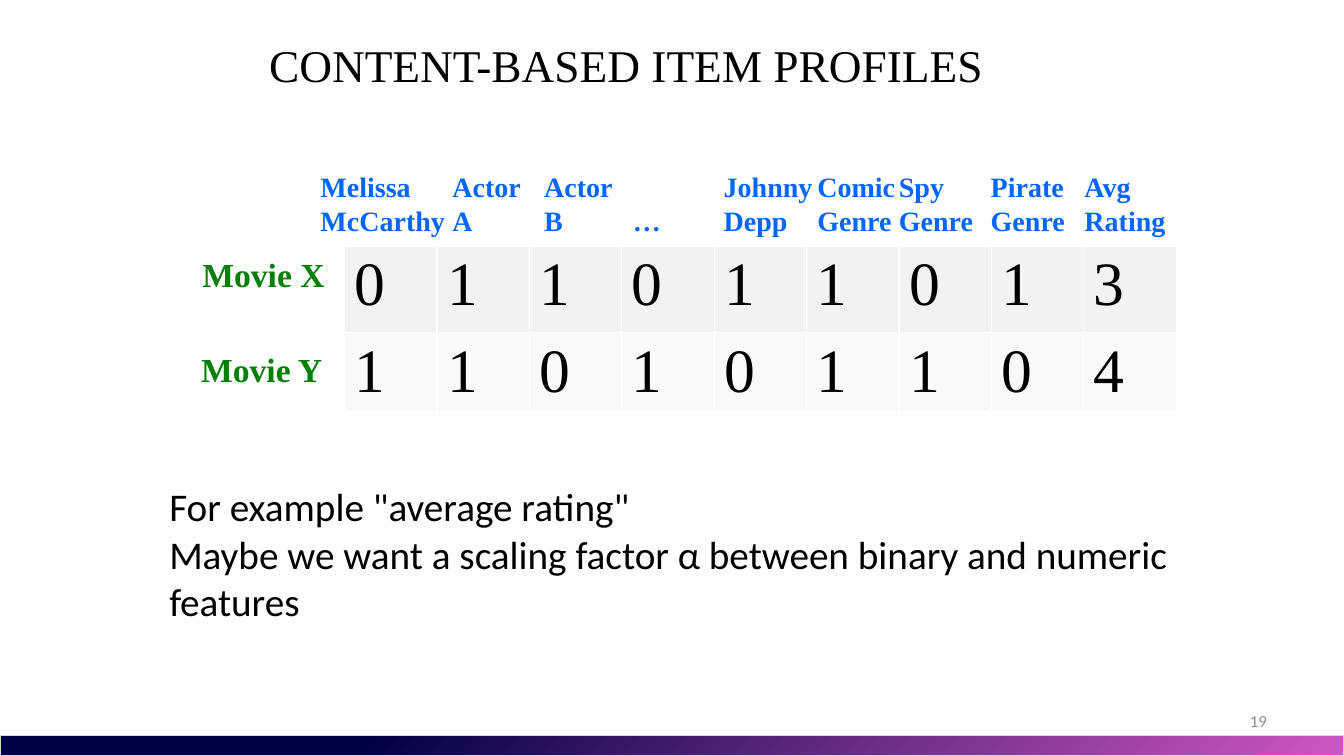
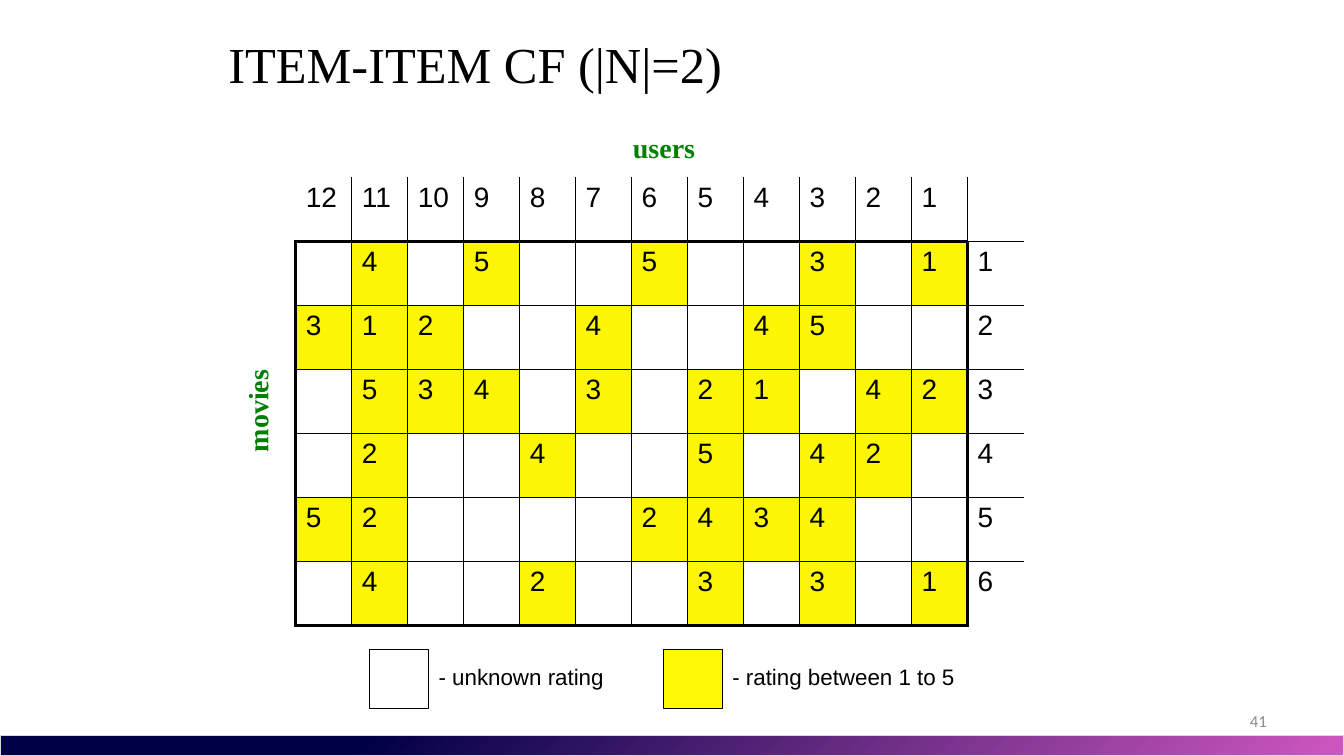
from dataclasses import dataclass
from typing import NamedTuple, Optional

from lxml import etree
from pptx import Presentation
from pptx.dml.color import RGBColor
from pptx.enum import shapes, text
from pptx.oxml import ns
from pptx.util import Pt


@dataclass(frozen=True)
class Theme:
    black: str = "000000"
    white: str = "FFFFFF"
    blue: str = "0066FF"
    green: str = "008000"
    grey: str = "8C8C8C"
    band_from: str = "000044"
    band_to: str = "CE57C1"
    band_line: str = "D8D8D8"
    row_fills: tuple = ("F2F2F2", "F9F9F9")
    rated: str = "FCF604"
    rated_key: str = "FFF905"
    serif: str = "Times New Roman"
    sans: str = "Arial"
    body: str = "Calibri"
    number_size: float = 12
    key_size: float = 16
    label_size: float = 20
    row_size: float = 24
    body_size: float = 28
    digit_size: float = 44


T = Theme()
WIDTH, HEIGHT = 960, 540
THIN, THICK = 1, 2.25


class Box(NamedTuple):
    """Left, top, width and height in points."""
    x: float
    y: float
    w: float
    h: float

    def lengths(self) -> tuple:
        return tuple(Pt(v) for v in self)


class Style(NamedTuple):
    font: str
    size: float
    color: str = T.black
    bold: bool = False


class Header(NamedTuple):
    lines: tuple
    x: float
    w: float


class Key(NamedTuple):
    label: str
    x: float
    w: float
    fill: str


HEADER = Style(T.serif, T.label_size, T.blue, True)
AXIS = Style(T.serif, T.label_size, T.green, True)
ROW = Style(T.serif, T.row_size, T.green, True)
BODY = Style(T.body, T.body_size)
NUMBER = Style(T.body, T.number_size, T.grey)
DIGIT = Style(T.serif, T.digit_size)
RATING = Style(T.sans, T.label_size)
KEY = Style(T.sans, T.key_size)


# Shared helpers
def rgb(value: str) -> RGBColor:
    return RGBColor.from_string(value)


def style_paragraph(p, style: Style) -> None:
    p.font.name, p.font.size, p.font.bold = style.font, Pt(style.size), style.bold
    p.font.color.rgb = rgb(style.color)


def add_text(s, box: Box, lines: tuple, style: Style, wrap: bool = False):
    sp = s.shapes.add_textbox(*box.lengths())
    tf = sp.text_frame
    tf.word_wrap = wrap
    tf.auto_size = text.MSO_AUTO_SIZE.SHAPE_TO_FIT_TEXT
    for i, line in enumerate(lines):
        p = tf.add_paragraph() if i else tf.paragraphs[0]
        p.text = line
        style_paragraph(p, style)
    return sp


def add_rect(s, box: Box, line: str, fill: Optional[str] = None):
    sp = s.shapes.add_shape(shapes.MSO_SHAPE.RECTANGLE, *box.lengths())
    sp.shadow.inherit = False
    sp.line.color.rgb = rgb(line)
    sp.line.width = Pt(0.75)
    if fill:
        sp.fill.solid()
        sp.fill.fore_color.rgb = rgb(fill)
    return sp


def add_slide(prs, title: str, box: Box, size: float, number: int):
    """Title-only slide with the gradient band and the page number."""
    s = prs.slides.add_slide(prs.slide_layouts[5])
    band = add_rect(s, Box(0, 525.6, WIDTH, 14.4), T.band_line)
    band.fill.gradient()
    band.fill.gradient_angle = 315
    stops = ((0.27, T.band_from), (1, T.band_to))
    for stop, (position, color) in zip(band.fill.gradient_stops, stops):
        stop.position = position
        stop.color.rgb = rgb(color)

    sp = s.shapes.title
    sp.left, sp.top, sp.width, sp.height = box.lengths()
    tf = sp.text_frame
    tf.text = title
    tf.auto_size = text.MSO_AUTO_SIZE.NONE
    tf.vertical_anchor = text.MSO_ANCHOR.MIDDLE
    p = tf.paragraphs[0]
    p.alignment = text.PP_ALIGN.LEFT
    style_paragraph(p, Style(T.serif, size))

    sp = add_text(s, Box(688, 500.4, 224, 28.8), (str(number),), NUMBER, wrap=True)
    sp.text_frame.auto_size = text.MSO_AUTO_SIZE.NONE
    sp.text_frame.vertical_anchor = text.MSO_ANCHOR.MIDDLE
    sp.text_frame.paragraphs[0].alignment = text.PP_ALIGN.RIGHT
    return s


# Tables
def add_grid(s, x: float, y: float, col_width: float, row_heights: tuple, columns: int):
    box = Box(x, y, col_width * columns, sum(row_heights))
    table = s.shapes.add_table(len(row_heights), columns, *box.lengths()).table
    table.first_row = table.horz_banding = False
    for column in table.columns:
        column.width = Pt(col_width)
    for row, height in zip(table.rows, row_heights):
        row.height = Pt(height)
    return table


def set_borders(cell, color: str, left: float, right: float, top: float, bottom: float) -> None:
    """A width of 0 leaves that side without a line."""
    props = cell._tc.get_or_add_tcPr()
    for side, width in zip("LRTB", (left, right, top, bottom)):
        ln = etree.SubElement(props, ns.qn(f"a:ln{side}"), w=str(Pt(width)))
        if width:
            fill = etree.SubElement(ln, ns.qn("a:solidFill"))
            etree.SubElement(fill, ns.qn("a:srgbClr"), val=color)
        else:
            etree.SubElement(ln, ns.qn("a:noFill"))


def fill_cell(cell, value: str, style: Style, fill: Optional[str]) -> None:
    if fill:
        cell.fill.solid()
        cell.fill.fore_color.rgb = rgb(fill)
    else:
        cell.fill.background()
    cell.text = value
    style_paragraph(cell.text_frame.paragraphs[0], style)


# Item profiles
PROFILES = ("011011013", "110101104")
HEADERS = (
    Header(("Melissa", "McCarthy"), 221.8, 104.4),
    Header(("Actor", "A"), 316.1, 64),
    Header(("Actor", "B"), 381.6, 64),
    Header(("…",), 445, 34.6),
    Header(("Johnny", "Depp"), 509.8, 78.5),
    Header(("Comic", "Genre"), 576.7, 70.6),
    Header(("Spy", "Genre"), 635, 67.7),
    Header(("Pirate", "Genre"), 700.6, 67.7),
    Header(("Avg", "Rating"), 767.5, 72.7),
)


def build_profiles(prs) -> None:
    s = add_slide(prs, "CONTENT-BASED ITEM PROFILES", Box(185, 22.3, 594, 47.5), 32.4, 19)
    table = add_grid(s, 246.2, 175.7, 66, (62, 55.5), len(HEADERS))
    for r, (profile, fill) in enumerate(zip(PROFILES, T.row_fills)):
        for c, value in enumerate(profile):
            cell = table.cell(r, c)
            set_borders(cell, T.white, THIN, THIN, THIN, THIN)
            fill_cell(cell, value, DIGIT, fill)

    # Column heads share one bottom edge
    for head in HEADERS:
        height = 24 * len(head.lines) + 7.2
        add_text(s, Box(head.x, 172.8 - height, head.w, height), head.lines, HEADER)
    add_text(s, Box(137.5, 177.8, 103, 36), ("Movie X",), ROW)
    add_text(s, Box(136.6, 245.5, 101.5, 36), ("Movie Y",), ROW)

    remarks = (
        'For example "average rating"',
        "Maybe we want a scaling factor α between binary and numeric features",
    )
    add_text(s, Box(113.8, 341.3, 769, 108.7), remarks, BODY, wrap=True)


# Rating matrix: a dot is an unknown rating
RATINGS = (
    ".4.5..5..3.1",
    "312..4..45..",
    ".534.3.21.42",
    ".2..4..5.42.",
    "52....2434..",
    ".4..2..3.3.1",
)
USERS, MOVIES = len(RATINGS[0]), len(RATINGS)
KEYS = (
    Key("- unknown rating", 264.2, 156.2, T.white),
    Key("- rating between 1 to 5", 474, 210.2, T.rated_key),
)


def vertical_edge(row: int, x: int) -> float:
    """Width of the line at column boundary x."""
    if x > USERS or (x == 0 and row == 0):
        return 0
    return THICK if row and x in (0, USERS) else THIN


def horizontal_edge(y: int, column: int) -> float:
    """Width of the line at row boundary y."""
    if y == 0 or (column == USERS and y > MOVIES):
        return 0
    return THICK if column < USERS and y in (1, MOVIES + 1) else THIN


def build_ratings(prs) -> None:
    s = add_slide(prs, "ITEM-ITEM CF (|N|=2)", Box(156, 0, 648, 90), 36, 41)
    user_row = [str(n) for n in range(USERS, 0, -1)] + [""]
    rows = [user_row] + [list(row.replace(".", " ")) + [str(n)]
                         for n, row in enumerate(RATINGS, 1)]
    table = add_grid(s, 211.2, 126.7, 40, (45.7,) * len(rows), USERS + 1)
    for r, row in enumerate(rows):
        for c, value in enumerate(row):
            cell = table.cell(r, c)
            set_borders(cell, T.black, vertical_edge(r, c), vertical_edge(r, c + 1),
                        horizontal_edge(r, c), horizontal_edge(r + 1, c))
            value = value.strip()
            rated = r > 0 and c < USERS and value
            fill_cell(cell, value, RATING, T.rated if rated else None)

    # Axis names
    add_text(s, Box(445, 90, 59.8, 31.7), ("users",), AXIS)
    add_text(s, Box(146.9, 277.2, 74.2, 31.7), ("movies",), AXIS).rotation = 270

    # Key
    side = 42
    for key in KEYS:
        add_rect(s, Box(key.x, 463.9, side, side), T.black, key.fill)
        add_text(s, Box(key.x + side, 470.2, key.w, 26.6), (key.label,), KEY, wrap=True)


def main() -> None:
    prs = Presentation()
    prs.slide_width, prs.slide_height = Pt(WIDTH), Pt(HEIGHT)
    build_profiles(prs)
    build_ratings(prs)
    prs.save("out.pptx")


if __name__ == "__main__":
    main()
